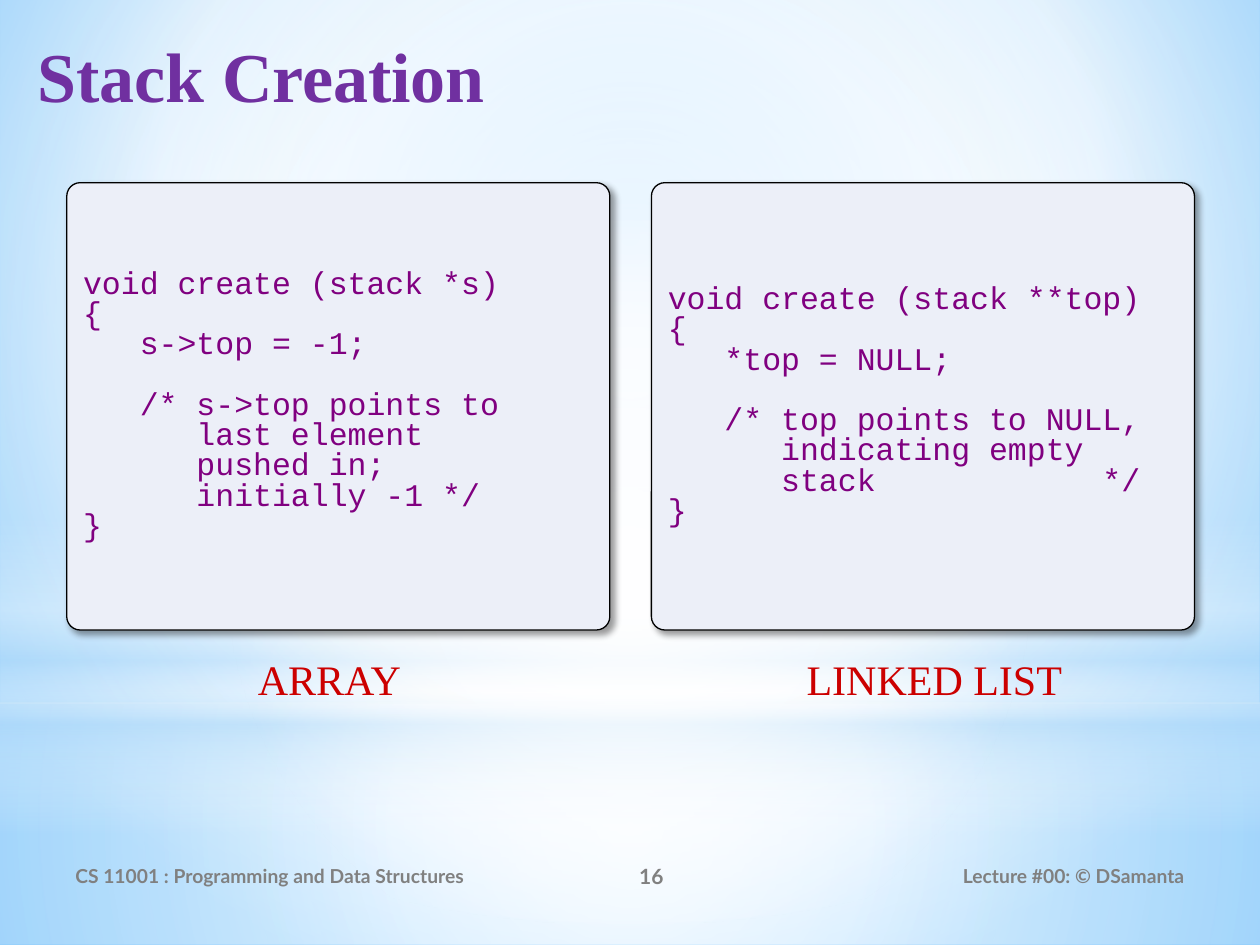
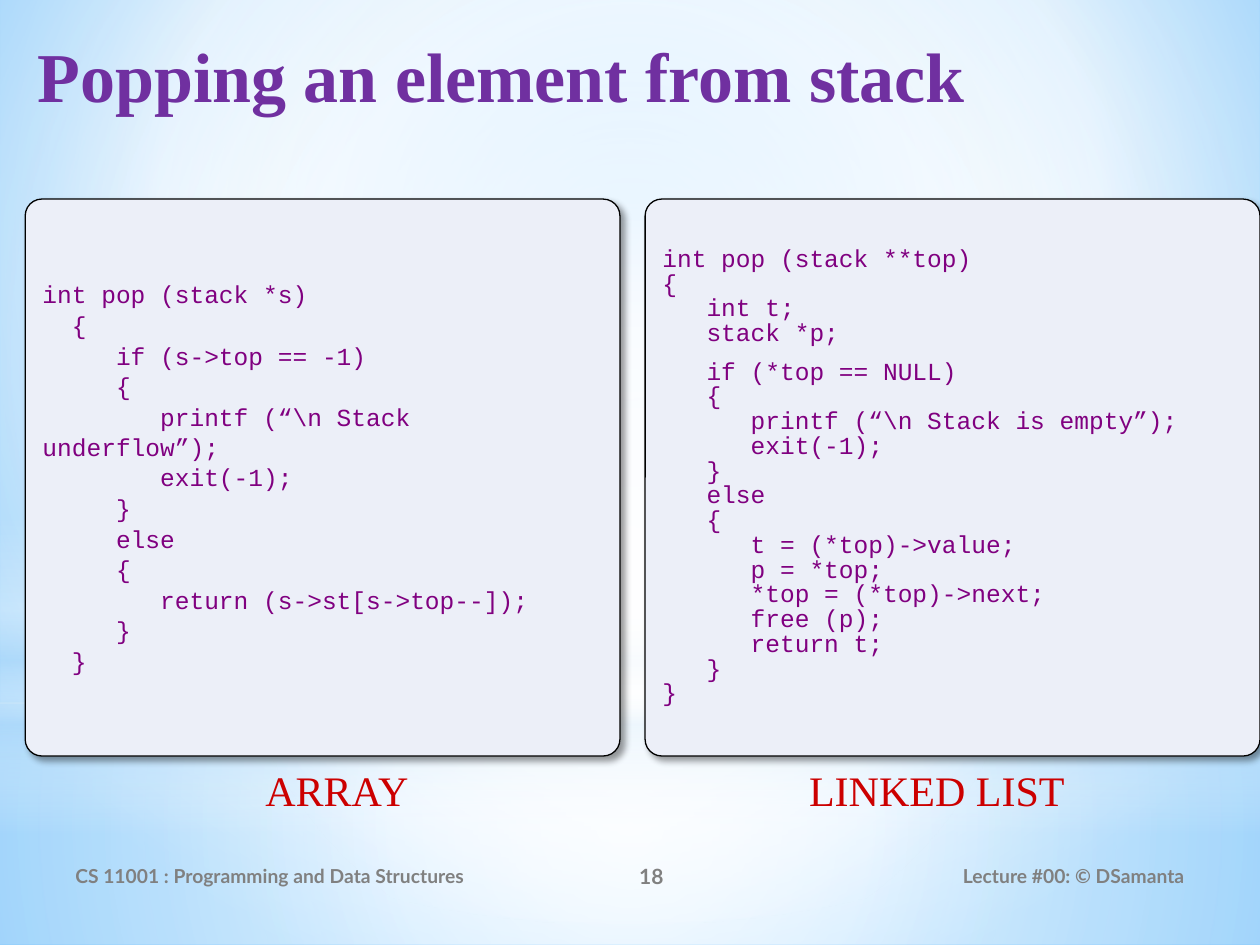
from dataclasses import dataclass
from lxml.etree import SubElement
from pptx import Presentation
from pptx.dml.color import RGBColor
from pptx.enum.shapes import MSO_SHAPE
from pptx.enum.text import MSO_ANCHOR, MSO_AUTO_SIZE, PP_ALIGN
from pptx.oxml.ns import qn
from pptx.util import Inches, Pt


@dataclass(frozen=True)
class Theme:
    head: tuple = ("Times New Roman", 40, "7030A0", True)
    label: tuple = ("Times New Roman", 24, "CC0000", False)
    foot: tuple = ("Lato", 11, "808080", True)
    page: tuple = ("Lato", 12, "808080", True)
    mono: str = "Courier New"
    ink: str = "800080"
    panel: str = "ECEFF8"
    edge: str = "000000"
    white: str = "FFFFFF"
    haze: str = "B4DCFA"
    sky: str = "9ED5FF"
    deep: str = "5BB9FF"


class Deck:
    def __init__(self, theme):
        self.theme = theme
        self.prs = Presentation()
        self.prs.slide_width = Inches(10)
        self.prs.slide_height = Inches(7.5)
        self.slide = None

    def tint(self, node, color, alpha):
        clr = SubElement(node, qn("a:srgbClr"), val=color)
        if alpha < 100:
            SubElement(clr, qn("a:alpha"), val=str(alpha * 1000))

    def blend(self, props, stops, focus=None):
        blank = props.find(qn("a:noFill"))
        grad = props.makeelement(qn("a:gradFill"), {"rotWithShape": "1"})
        props.replace(blank, grad)
        group = SubElement(grad, qn("a:gsLst"))
        for place, color, alpha in stops:
            stop = SubElement(group, qn("a:gs"), pos=str(place * 1000))
            self.tint(stop, color, alpha)
        if focus:
            way = SubElement(grad, qn("a:path"), {"path": "circle"})
            sides = {side: str(part * 1000) for side, part in zip("ltrb", focus)}
            SubElement(way, qn("a:fillToRect"), sides)
        else:
            SubElement(grad, qn("a:lin"), ang="5400000", scaled="0")

    def shape(self, kind, area):
        shape = self.slide.shapes.add_shape(kind, *map(Inches, area))
        shape.shadow.inherit = False
        return shape

    def glow(self, kind, area, stops, focus=(50, 50, 50, 50)):
        shape = self.shape(kind, area)
        shape.line.fill.background()
        shape.fill.background()
        self.blend(shape.element.spPr, stops, focus)

    def scene(self):
        t = self.theme
        self.slide.background.fill.background()
        base = self.slide.element.find(".//" + qn("p:bgPr"))
        self.blend(base, [(0, t.sky, 100), (60, t.white, 100), (100, t.deep, 100)],
                   (20, 10, 20, 60))
        rect = MSO_SHAPE.RECTANGLE
        self.glow(rect, (0, 5.58, 10, 1.92),
                  [(0, t.white, 91), (37, t.white, 76), (100, t.haze, 79)])
        self.glow(rect, (0, 0, 10, 5.58),
                  [(0, t.white, 89), (48, t.white, 62), (100, t.haze, 79)])
        self.glow(rect, (0, 4.12, 10, 2.5),
                  [(0, t.white, 0), (29, t.white, 30), (45, t.haze, 40),
                   (55, t.white, 26), (65, t.haze, 60), (100, t.white, 0)], None)
        self.glow(MSO_SHAPE.OVAL, (0, 1.75, 10, 5.58),
                  [(0, t.white, 100), (56, t.white, 0)])

    def put(self, para, words, style):
        run = para.add_run()
        run.text = words
        font = run.font
        font.name, size, color, font.bold = style
        font.size = Pt(size)
        font.color.rgb = RGBColor.from_string(color)

    def text(self, area, words, style, align=PP_ALIGN.LEFT,
             anchor=MSO_ANCHOR.TOP, grow=False):
        frame = self.slide.shapes.add_textbox(*map(Inches, area)).text_frame
        frame.word_wrap = True
        frame.vertical_anchor = anchor
        if grow:
            frame.auto_size = MSO_AUTO_SIZE.SHAPE_TO_FIT_TEXT
        para = frame.paragraphs[0]
        para.alignment = align
        self.put(para, words, style)

    def start(self, title, page):
        t = self.theme
        self.slide = self.prs.slides.add_slide(self.prs.slide_layouts[6])
        self.scene()
        self.text((0.2, 0.21, 9.53, 1.25), title, t.head)
        for left, width, words, style, align in (
            (0.5, 3.67, "CS 11001 : Programming and Data Structures", t.foot, PP_ALIGN.LEFT),
            (4.17, 2, str(page), t.page, PP_ALIGN.CENTER),
            (6.75, 2.75, "Lecture #00: © DSamanta", t.foot, PP_ALIGN.RIGHT),
        ):
            self.text((left, 6.75, width, 0.4), words, style, align, MSO_ANCHOR.MIDDLE)

    def code(self, area, source, size, pitch=0.8, lead=0, gap=0):
        t = self.theme
        panel = self.shape(MSO_SHAPE.ROUNDED_RECTANGLE, area)
        panel.adjustments[0] = 0.03
        panel.fill.solid()
        panel.fill.fore_color.rgb = RGBColor.from_string(t.panel)
        panel.line.color.rgb = RGBColor.from_string(t.edge)
        panel.line.width = Pt(0.75)
        effect = panel.element.spPr.find(qn("a:effectLst"))
        shade = SubElement(effect, qn("a:outerShdw"), blurRad=str(Pt(4)),
                           dist=str(Pt(3)), dir="2700000", algn="tl", rotWithShape="0")
        self.tint(shade, t.edge, 40)
        frame = panel.text_frame
        frame.word_wrap = True
        frame.vertical_anchor = MSO_ANCHOR.MIDDLE
        para, space = frame.paragraphs[0], 0
        for line in source.strip("\n").split("\n"):
            if not line:
                space += gap
                continue
            if para is None:
                para = frame.add_paragraph()
            para.alignment = PP_ALIGN.LEFT
            para.line_spacing = pitch
            para.space_before = Pt(space)
            self.put(para, line, (t.mono, size, t.ink, False))
            para, space = None, lead

    def label(self, area, words):
        self.text(area, words, self.theme.label, PP_ALIGN.CENTER, grow=True)


INIT_ARRAY = """
void create (stack *s)
{
   s->top = -1;

   /* s->top points to
      last element
      pushed in;
      initially -1 */
}
"""

INIT_LIST = """
void create (stack **top)
{
   *top = NULL;

   /* top points to NULL,
      indicating empty
      stack            */
}
"""

POP_ARRAY = r"""
int pop (stack *s)
  {
     if (s->top == -1)
     {
        printf (“\n Stack underflow”);
        exit(-1);
     }
     else
     {
        return (s->st[s->top--]);
     }
  }
"""

POP_LIST = r"""
int pop (stack **top)
{
   int t;
   stack *p;

   if (*top == NULL)
   {
      printf (“\n Stack is empty”);
      exit(-1);
   }
   else
   {
      t = (*top)->value;
      p = *top;
      *top = (*top)->next;
      free (p);
      return t;
   }
}
"""


def main():
    deck = Deck(Theme())

    deck.start("Stack Creation", 16)
    for left, source in ((0.53, INIT_ARRAY), (5.17, INIT_LIST)):
        deck.code((left, 1.45, 4.31, 3.55), source, 18, gap=17.3)
    deck.label((1.7, 5.14, 1.83, 0.5), "ARRAY")
    deck.label((5.83, 5.14, 3.17, 0.5), "LINKED LIST")

    deck.start("Popping an element from stack", 18)
    deck.code((0.2, 1.58, 4.72, 4.42), POP_ARRAY, 14, pitch=1.0, lead=0.7)
    deck.code((5.12, 1.58, 4.88, 4.42), POP_LIST, 14, lead=0.7, gap=7.8)
    deck.label((1.76, 6.02, 1.83, 0.5), "ARRAY")
    deck.label((6.17, 6.02, 2.53, 0.5), "LINKED LIST")

    deck.prs.save("out.pptx")


if __name__ == "__main__":
    main()
